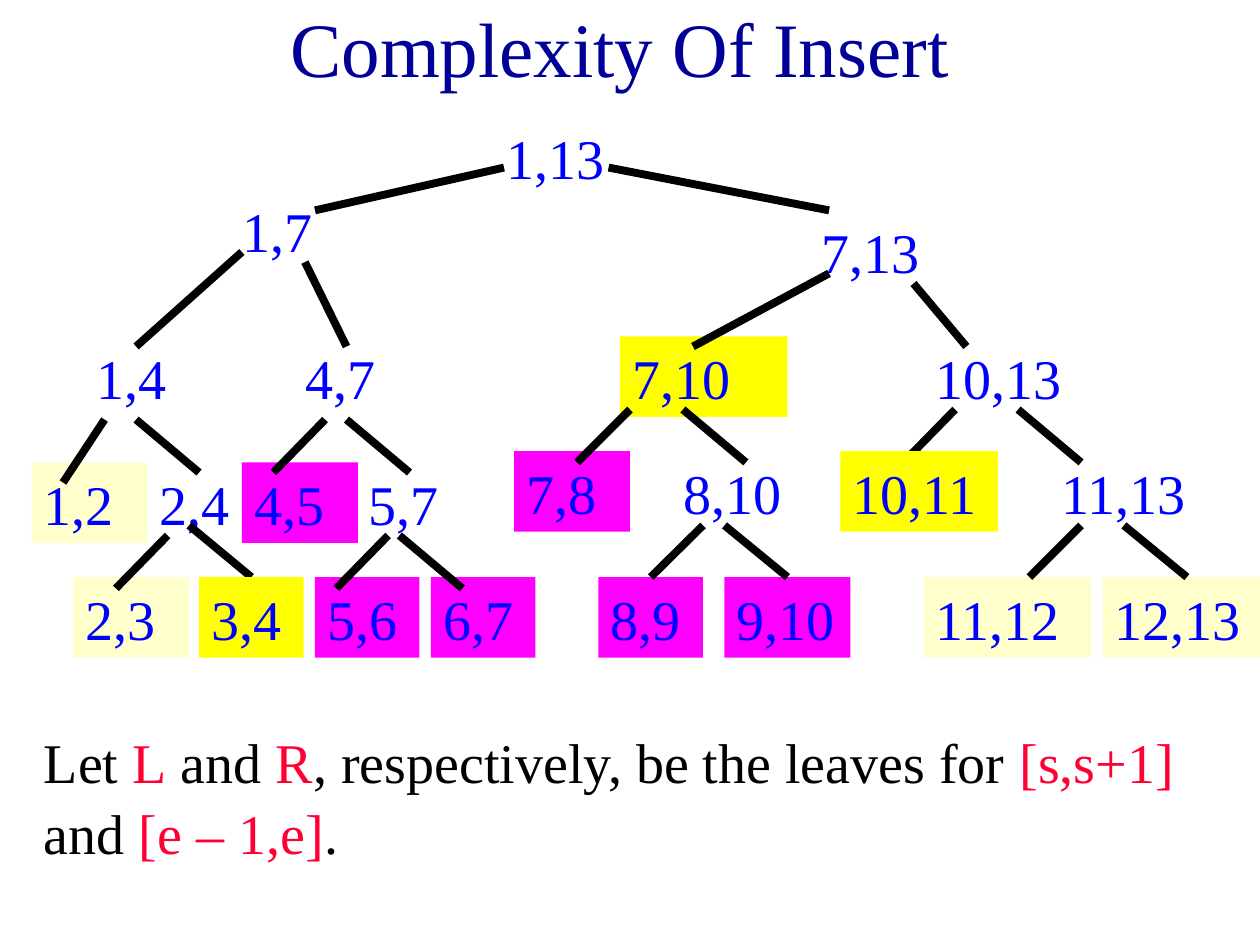
from lxml.etree import SubElement
from pptx import Presentation
from pptx.dml.color import RGBColor
from pptx.enum.shapes import MSO_CONNECTOR, MSO_SHAPE
from pptx.enum.text import MSO_ANCHOR, PP_ALIGN
from pptx.oxml.ns import qn
from pptx.util import Inches, Pt

NAVY, BLUE, BLACK, RED, WHITE = "000099", "0000FF", "000000", "FF0033", "FFFFFF"
CREAM, YELLOW, MAGENTA = "FFFFCC", "FFFF00", "FF00FF"
NODE_HEIGHT = 0.64
TOP = 0  # connection site

# Interval, left, top, width, fill
NODES = [
    ("1,13", 3.92, 0.92, 1, None),
    ("1,7", 1.83, 1.5, 1, None),
    ("7,13", 6.42, 1.67, 1.25, None),
    ("1,4", 0.67, 2.67, 0.92, None),
    ("4,7", 2.33, 2.67, 1.17, None),
    ("7,10", 4.92, 2.67, 1.33, YELLOW),
    ("10,13", 7.33, 2.67, 1.33, None),
    ("1,2", 0.25, 3.67, 0.92, CREAM),
    ("2,4", 1.17, 3.67, 0.92, None),
    ("4,5", 1.92, 3.67, 0.92, MAGENTA),
    ("5,7", 2.83, 3.67, 1, None),
    ("7,8", 4.08, 3.58, 0.92, MAGENTA),
    ("8,10", 5.33, 3.58, 1.33, None),
    ("11,13", 8.33, 3.58, 1.33, None),
    ("2,3", 0.58, 4.58, 0.92, CREAM),
    ("5,6", 2.5, 4.58, 0.83, MAGENTA),
    ("6,7", 3.42, 4.58, 0.83, MAGENTA),
    ("8,9", 4.75, 4.58, 0.83, MAGENTA),
    ("9,10", 5.75, 4.58, 1, MAGENTA),
    ("11,12", 7.33, 4.58, 1.33, CREAM),
    ("12,13", 8.75, 4.58, 1.25, CREAM),
]
# These leaves lie over the ends of their edges
FRONT_NODES = [
    ("3,4", 1.58, 4.58, 0.83, YELLOW),
    ("10,11", 6.67, 3.58, 1.25, YELLOW),
]
# Child interval: start x, start y, end x, end y
EDGES = {
    "1,7": (4, 1.33, 2.5, 1.67),
    "7,13": (4.83, 1.33, 6.58, 1.67),
    "1,4": (1.92, 2, 1.08, 2.75),
    "4,7": (2.42, 2.08, 2.75, 2.75),
    "7,10": (6.58, 2.17, 5.5, 2.75),
    "10,13": (7.25, 2.25, 7.67, 2.75),
    "1,2": (0.83, 3.33, 0.5, 3.83),
    "2,4": (1.08, 3.33, 1.58, 3.75),
    "4,5": (2.58, 3.33, 2.17, 3.75),
    "5,7": (2.75, 3.33, 3.25, 3.75),
    "7,8": (5, 3.25, 4.58, 3.67),
    "8,10": (5.42, 3.25, 5.92, 3.67),
    "10,11": (7.58, 3.25, 7.17, 3.67),
    "11,13": (8.08, 3.25, 8.58, 3.67),
    "2,3": (1.33, 4.25, 0.92, 4.67),
    "3,4": (1.5, 4.17, 2, 4.58),
    "5,6": (3.08, 4.25, 2.67, 4.67),
    "6,7": (3.17, 4.25, 3.67, 4.67),
    "8,9": (5.58, 4.17, 5.17, 4.58),
    "9,10": (5.75, 4.17, 6.25, 4.58),
    "11,12": (8.58, 4.17, 8.17, 4.58),
    "12,13": (8.92, 4.17, 9.42, 4.58),
}
JOINED = ["3,4", "8,9", "9,10"]
STATEMENT = [
    ("Let", BLACK), (" L", RED), (" and ", BLACK), ("R", RED),
    (", respectively, be the leaves for ", BLACK), ("[s,s+1]", RED),
    (" and ", BLACK), ("[e – 1,e]", RED), (".", BLACK),
]


def color(hex_code):
    return RGBColor.from_string(hex_code)


class TreeSlide:
    font = "Times New Roman"

    def __init__(self, slide):
        self.slide = slide

    def text(self, pieces, left, top, width, height, fill=None, size=32,
             align=PP_ALIGN.LEFT, anchor=MSO_ANCHOR.BOTTOM):
        place = [Inches(n) for n in (left, top, width, height)]
        if fill:
            box = self.slide.shapes.add_shape(MSO_SHAPE.RECTANGLE, *place)
            box.shadow.inherit = False
            box.fill.solid()
            box.fill.fore_color.rgb = color(fill)
            box.line.fill.background()
        else:
            box = self.slide.shapes.add_textbox(*place)
        frame = box.text_frame
        frame.word_wrap = True
        frame.vertical_anchor = anchor
        paragraph = frame.paragraphs[0]
        paragraph.alignment = align
        for words, hue in pieces:
            run = paragraph.add_run()
            run.text = words
            run.font.name = self.font
            run.font.size = Pt(size)
            run.font.color.rgb = color(hue)
        return box

    def node(self, interval, left, top, width, fill):
        return self.text([(interval, BLUE)], left, top, width, NODE_HEIGHT, fill)

    def edge(self, *ends):
        line = self.slide.shapes.add_connector(
            MSO_CONNECTOR.STRAIGHT, *[Inches(n) for n in ends])
        line.line.color.rgb = color(BLACK)
        line.line.width = Pt(4.5)
        SubElement(line._element.spPr, qn("a:effectLst"))
        return line


def main():
    deck = Presentation()
    deck.slide_width, deck.slide_height = Inches(10), Inches(7.5)
    tree = TreeSlide(deck.slides.add_slide(deck.slide_layouts[6]))

    # Title
    tree.text([("Complexity Of Insert", NAVY)], 0.67, 0.08, 8.5, 0.58, size=44,
              align=PP_ALIGN.CENTER, anchor=MSO_ANCHOR.MIDDLE)

    # Statement below the tree
    statement = tree.text(STATEMENT, 0.25, 5.75, 9.75, 1.17, WHITE)
    statement.text_frame.paragraphs[0].line_spacing = 1.06

    # Segment tree
    nodes = {node[0]: tree.node(*node) for node in NODES}
    edges = {child: tree.edge(*ends) for child, ends in EDGES.items()}
    nodes.update({node[0]: tree.node(*node) for node in FRONT_NODES})
    for child in JOINED:
        edges[child].end_connect(nodes[child], TOP)

    deck.save("out.pptx")


if __name__ == "__main__":
    main()
